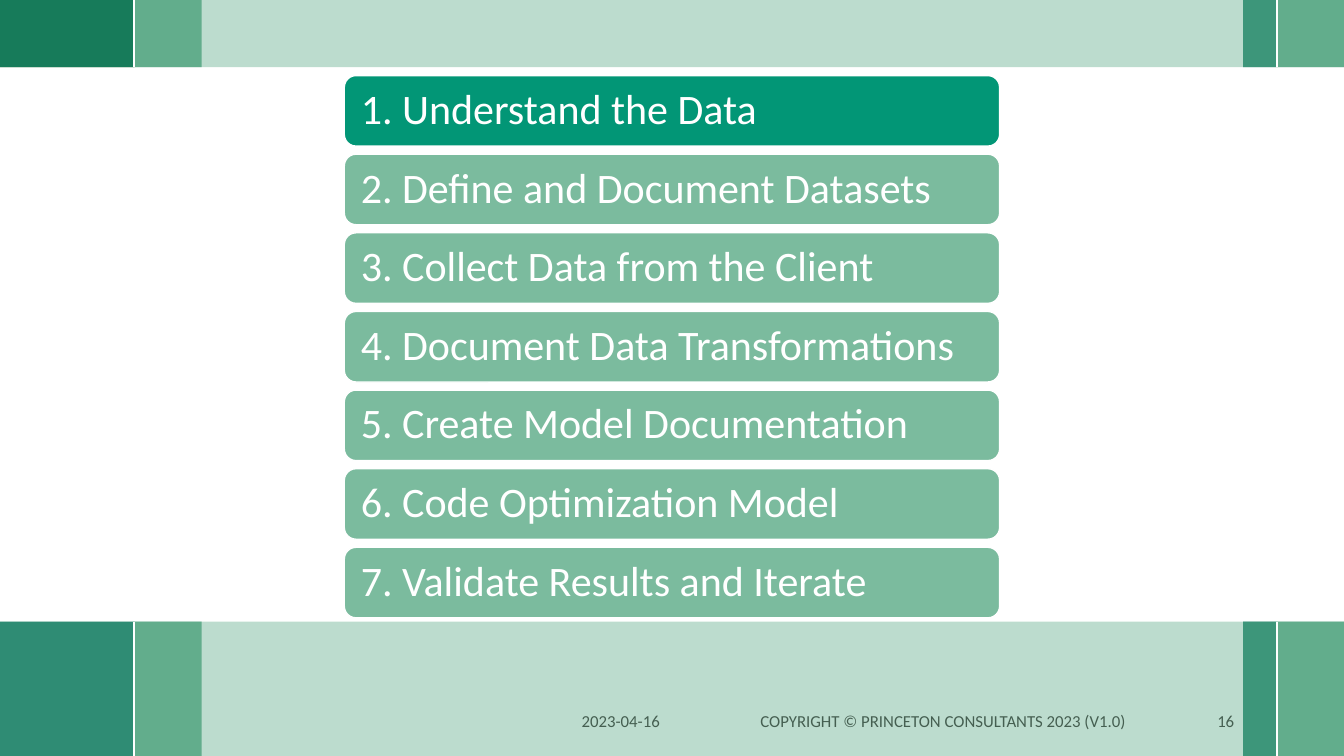
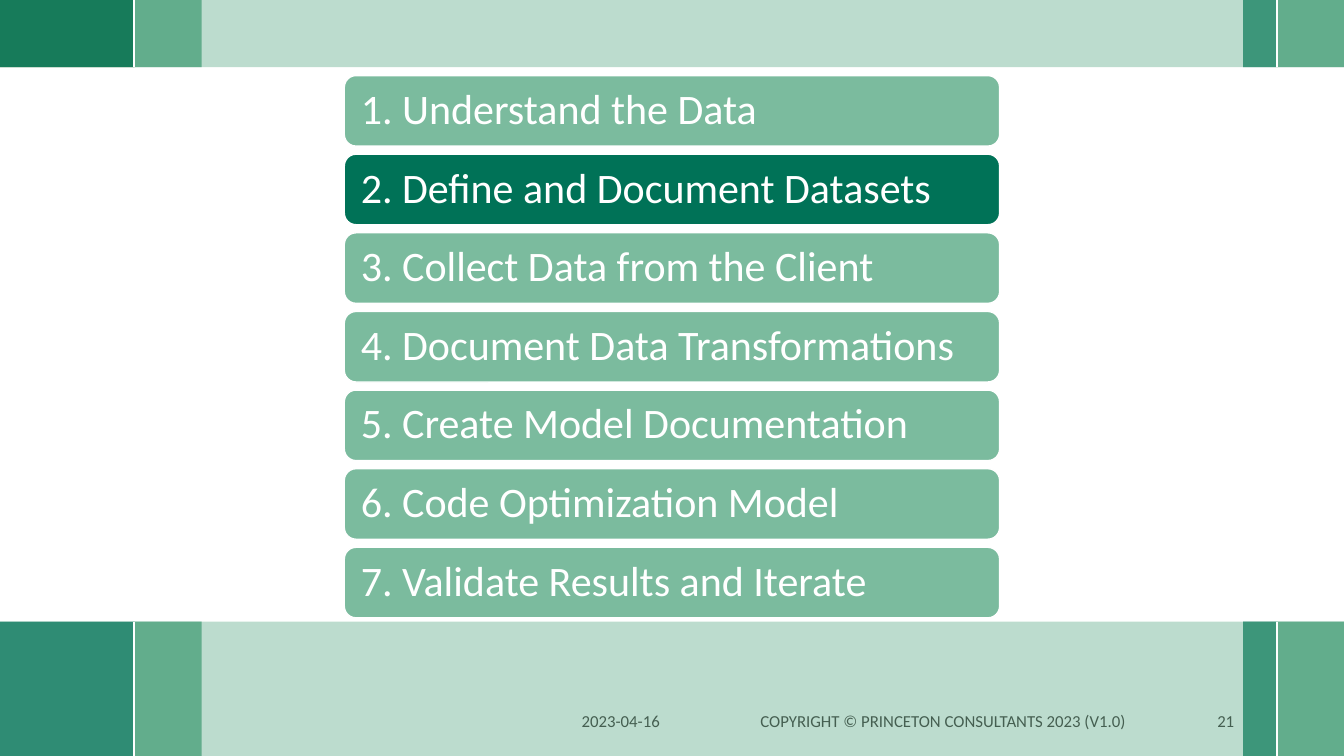
"""Build two agenda slides that highlight the current step of a data process."""
from dataclasses import dataclass
from typing import NamedTuple

from pptx import Presentation
from pptx.dml.color import RGBColor
from pptx.enum.shapes import MSO_CONNECTOR, MSO_SHAPE
from pptx.enum.text import MSO_ANCHOR, PP_ALIGN
from pptx.oxml.ns import qn
from pptx.shapes.autoshape import Shape
from pptx.slide import Slide
from pptx.text.text import TextFrame
from pptx.util import Inches, Pt
from lxml.etree import SubElement

WIDTH, HEIGHT = 13.33, 7.5
COLS = 20
UNIT = WIDTH / COLS
ROWS = HEIGHT / UNIT


@dataclass(frozen=True)
class Theme:
    """Colours and type sizes shared by all slides."""
    font: str = "Calibri"
    step_size: int = 30
    footer_size: int = 12
    white: str = "FFFFFF"
    footer: str = "455F51"
    pale: str = "7BBB9E"
    mid: str = "4A9F7B"
    dark: str = "007257"
    olive: str = "3F762B"
    bright: str = "029676"


class Block(NamedTuple):
    """A band block, placed in grid columns, with opacity in percent."""
    col: float
    cols: float
    color: str
    opacity: int = 100


class Band(NamedTuple):
    """A horizontal band, placed in grid rows, with its blocks back to front."""
    row: float
    rows: float
    blocks: tuple[Block, ...]


class Footer(NamedTuple):
    """A footer field, placed in inches."""
    left: float
    width: float
    align: PP_ALIGN
    text: str


class Agenda(NamedTuple):
    """One slide: its number, the current step and the highlight colour."""
    number: int
    current: int
    highlight: str


THEME = Theme()
SIDE_BLOCKS = (
    Block(19, 1, THEME.mid),
    Block(18.5, 0.5, THEME.dark),
    Block(2, 1, THEME.mid),
)
COVER_BLOCKS = (
    Block(0, COLS, THEME.pale, 50),
    Block(0, 2, THEME.dark, 75),
)
BANDS = (
    Band(ROWS - 2, 2, SIDE_BLOCKS + COVER_BLOCKS),
    Band(0, 1, SIDE_BLOCKS + (Block(0, 2, THEME.olive),) + COVER_BLOCKS),
)
DIVIDER_COLS = (2, 19)
FOOTER_TOP, FOOTER_HEIGHT = 6.95, 0.4
STEP_TOP, STEP_PITCH = 0.75, 0.78
STEP_WIDTH, STEP_HEIGHT, STEP_INSET = 6.5, 0.7, 0.13
STEPS = (
    "Understand the Data",
    "Define and Document Datasets",
    "Collect Data from the Client",
    "Document Data Transformations",
    "Create Model Documentation",
    "Code Optimization Model",
    "Validate Results and Iterate",
)
AGENDAS = (Agenda(16, 1, THEME.bright), Agenda(21, 2, THEME.dark))


def add_filled(slide: Slide, kind: MSO_SHAPE, left: float, top: float,
               width: float, height: float, color: str) -> Shape:
    """Add a solid shape without outline or shadow."""
    sp = slide.shapes.add_shape(kind, Inches(left), Inches(top),
                                Inches(width), Inches(height))
    sp.shadow.inherit = False
    sp.fill.solid()
    sp.fill.fore_color.rgb = RGBColor.from_string(color)
    sp.line.fill.background()
    return sp


def set_opacity(sp: Shape, percent: int) -> None:
    """Make a solid fill partly transparent."""
    color = sp.fill._xPr.find(qn("a:solidFill"))[0]
    SubElement(color, qn("a:alpha"), val=str(percent * 1000))


def write(tf: TextFrame, text: str, size: int, color: str, align: PP_ALIGN) -> None:
    """Write one vertically centred line of text."""
    tf.word_wrap = True
    tf.vertical_anchor = MSO_ANCHOR.MIDDLE
    tf.text = text
    p = tf.paragraphs[0]
    p.alignment = align
    font = p.runs[0].font
    font.name = THEME.font
    font.size = Pt(size)
    font.color.rgb = RGBColor.from_string(color)


def add_divider(slide: Slide, col: float, band: Band) -> None:
    """Draw a white line across a band."""
    x, top = Inches(col * UNIT), Inches(band.row * UNIT)
    bottom = Inches((band.row + band.rows) * UNIT)
    line = slide.shapes.add_connector(MSO_CONNECTOR.STRAIGHT, x, top, x, bottom)
    line.line.color.rgb = RGBColor.from_string(THEME.white)
    line.line.width = Pt(1.5)
    SubElement(line._element.spPr, qn("a:effectLst"))


def add_band(slide: Slide, band: Band) -> None:
    """Draw a band's blocks and dividers."""
    for block in band.blocks:
        sp = add_filled(slide, MSO_SHAPE.RECTANGLE, block.col * UNIT, band.row * UNIT,
                        block.cols * UNIT, band.rows * UNIT, block.color)
        if block.opacity < 100:
            set_opacity(sp, block.opacity)
    for col in DIVIDER_COLS:
        add_divider(slide, col, band)


def add_footers(slide: Slide, number: int) -> None:
    """Add the date, the copyright line and the slide number."""
    footers = (
        Footer(5.67, 1.33, PP_ALIGN.LEFT, "2023-04-16"),
        Footer(7.16, 4.39, PP_ALIGN.CENTER,
               "COPYRIGHT © PRINCETON CONSULTANTS 2023 (V1.0)"),
        Footer(11.67, 0.67, PP_ALIGN.RIGHT, str(number)),
    )
    for footer in footers:
        box = slide.shapes.add_textbox(Inches(footer.left), Inches(FOOTER_TOP),
                                       Inches(footer.width), Inches(FOOTER_HEIGHT))
        write(box.text_frame, footer.text, THEME.footer_size, THEME.footer, footer.align)


def add_steps(slide: Slide, agenda: Agenda) -> None:
    """Stack the numbered steps and highlight the current one."""
    left = (WIDTH - STEP_WIDTH) / 2
    for i, step in enumerate(STEPS):
        number = i + 1
        color = agenda.highlight if number == agenda.current else THEME.pale
        sp = add_filled(slide, MSO_SHAPE.ROUNDED_RECTANGLE, left,
                        STEP_TOP + i * STEP_PITCH, STEP_WIDTH, STEP_HEIGHT, color)
        sp.line.color.rgb = RGBColor.from_string(THEME.white)
        sp.line.width = Pt(1)
        tf = sp.text_frame
        tf.margin_left = tf.margin_right = Inches(STEP_INSET)
        tf.margin_top = tf.margin_bottom = 0
        write(tf, f"{number}. {step}", THEME.step_size, THEME.white, PP_ALIGN.LEFT)
        tf.paragraphs[0].line_spacing = 0.9


def main() -> None:
    """Build and save the presentation."""
    prs = Presentation()
    prs.slide_width, prs.slide_height = Inches(WIDTH), Inches(HEIGHT)
    for agenda in AGENDAS:
        slide = prs.slides.add_slide(prs.slide_layouts[6])
        for band in BANDS:
            add_band(slide, band)
        add_footers(slide, agenda.number)
        add_steps(slide, agenda)
    prs.save("out.pptx")


if __name__ == "__main__":
    main()
